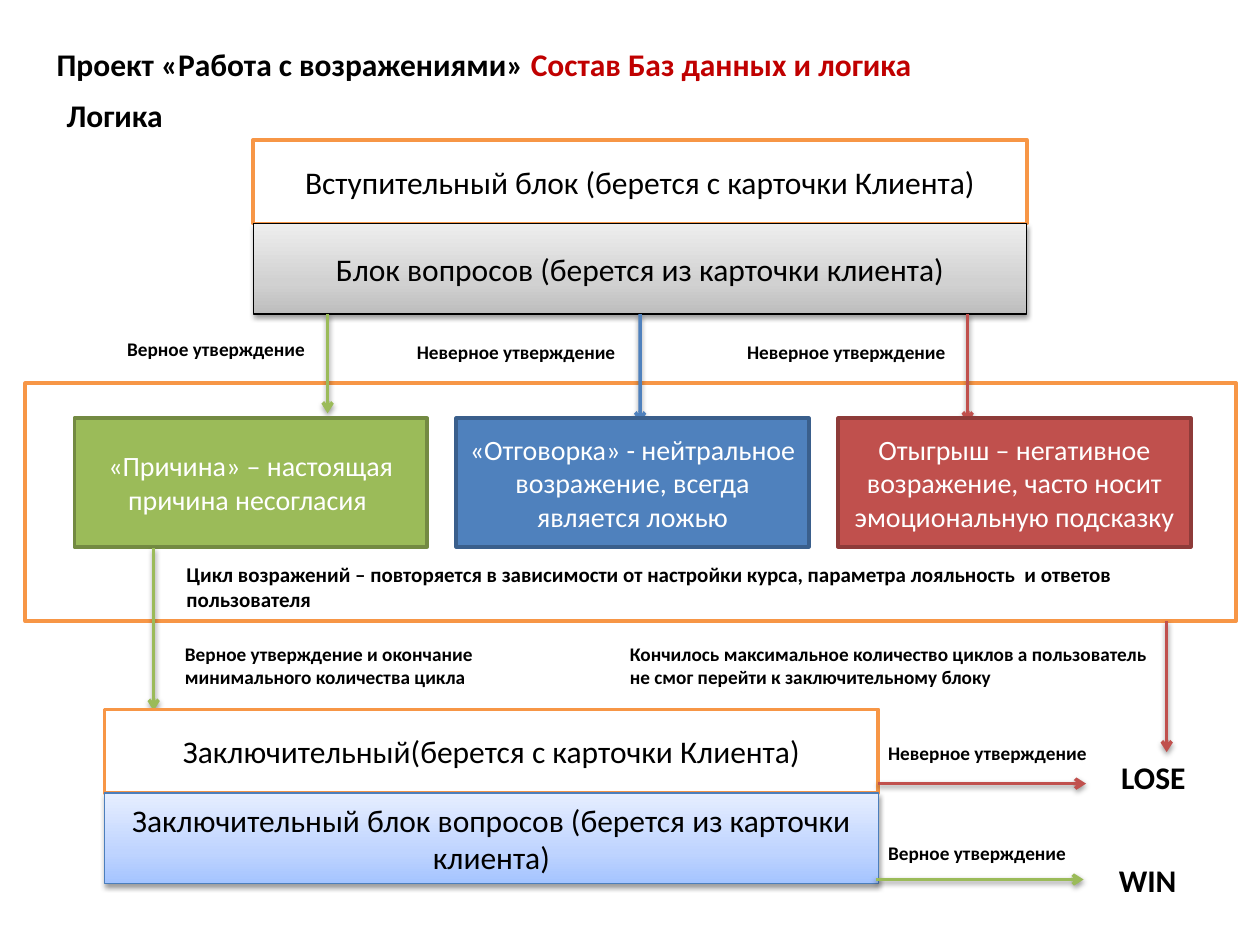
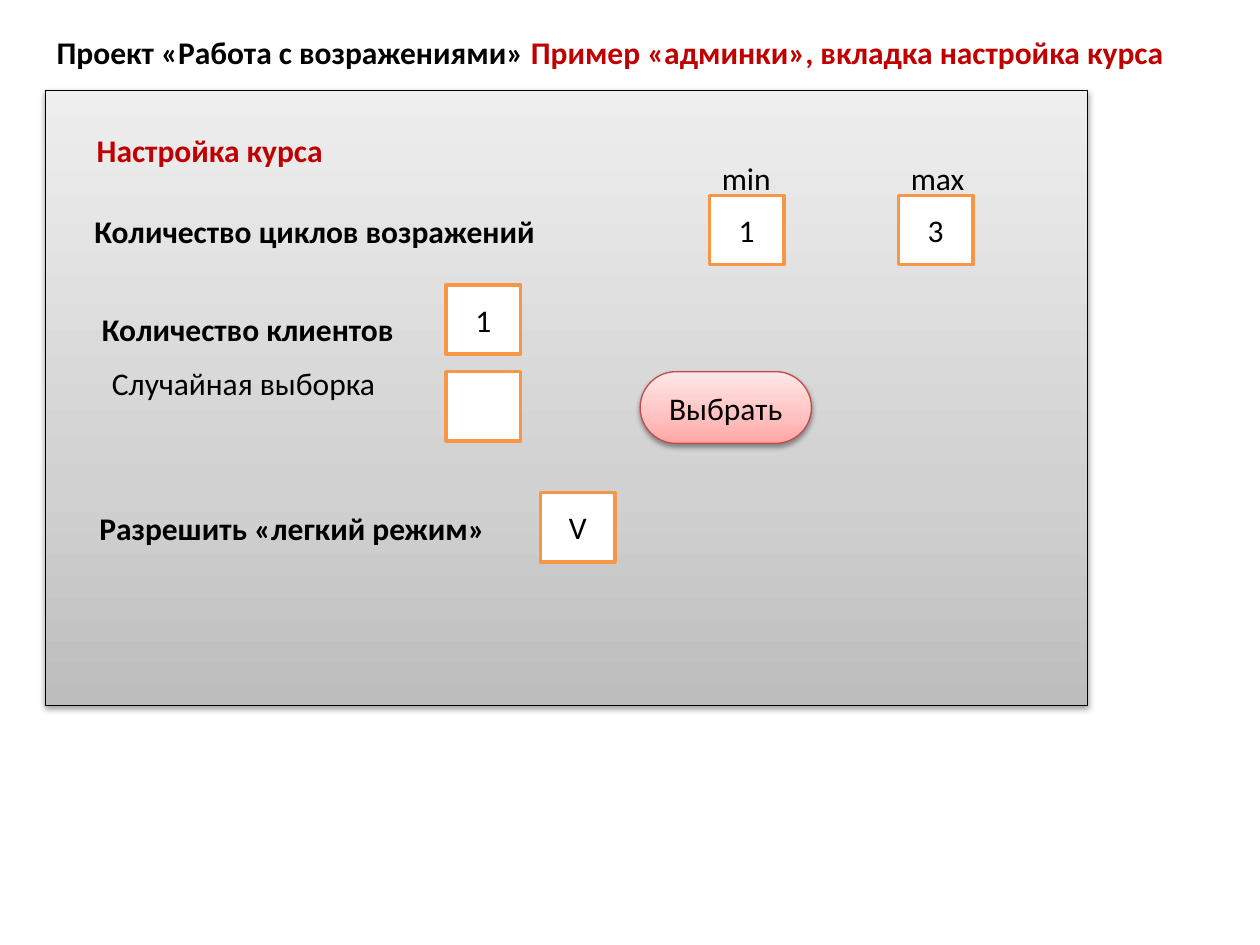
from dataclasses import dataclass

from pptx import Presentation
from pptx.dml.color import RGBColor
from pptx.enum.shapes import MSO_CONNECTOR as CONN, MSO_SHAPE as SHAPE
from pptx.enum.text import MSO_ANCHOR as ANCHOR, MSO_AUTO_SIZE as AUTO, PP_ALIGN as ALIGN
from pptx.oxml import parse_xml
from pptx.oxml.ns import nsdecls, qn
from pptx.util import Pt


@dataclass(frozen=True)
class Theme:
    """Font, type sizes, line widths and colours of the deck."""
    font: str = "Calibri"
    large: int = 18
    medium: int = 16
    note: int = 12
    small: int = 11
    thick: float = 2
    thin: float = 0.75
    black: str = "000000"
    white: str = "FFFFFF"
    accent: str = "C00000"
    orange: str = "F79646"
    green: str = "9BBB59"
    dark_green: str = "738A42"
    blue: str = "4F81BD"
    dark_blue: str = "3A5F8C"
    red: str = "C0504D"
    dark_red: str = "8E3B39"
    blue_edge: str = "4B7EBC"
    red_edge: str = "BF4C48"
    gray_blend: tuple = ("BDBDBD", "D1D1D1", "EEEEEE")
    blue_blend: tuple = ("A4C4FF", "BFD4FF", "E6EEFF")
    red_blend: tuple = ("FFA6A5", "FFC0BF", "FFE7E7")


T = Theme()
PROJECT = "Проект «Работа с возражениями» "
RIGHT, WRONG = "Верное утверждение", "Неверное утверждение"
LINE_H = 28.8
BLOCK_W, BLOCK_STEP = 442.1, 47.8
BOX_W, BOX_H = 42.5, 39.6


def style_run(r, size, color, bold=False):
    """Set the font of one run."""
    r.font.name = T.font
    r.font.size = Pt(size)
    r.font.bold = bold
    r.font.color.rgb = RGBColor.from_string(color)


def cast_shadow(s):
    """Put a soft shadow below a shape or a connector."""
    effects = s._element.spPr.find(qn("a:effectLst"))
    if effects is None:
        effects = parse_xml(f"<a:effectLst {nsdecls('a')}/>")
        s._element.spPr.append(effects)
    effects.append(parse_xml(
        f'<a:outerShdw {nsdecls("a")} blurRad="{Pt(3.1)}" dist="{Pt(1.6)}" dir="5400000" '
        f'rotWithShape="0"><a:srgbClr val="{T.black}"><a:alpha val="38000"/>'
        '</a:srgbClr></a:outerShdw>'))


def blend_fill(s, colors):
    """Fill a shape with three colours running upwards."""
    s.fill.gradient()
    s.fill.gradient_angle = 90
    stops = s._element.spPr.find(qn("a:gradFill")).find(qn("a:gsLst"))
    stops.clear()
    for pos, color in zip((0, 35000, 100000), colors):
        stops.append(parse_xml(f'<a:gs {nsdecls("a")} pos="{pos}">'
                               f'<a:srgbClr val="{color}"/></a:gs>'))


def add_title(slide, topic, top, width):
    """Write the project name and the red topic in the title placeholder."""
    s = slide.shapes.title
    s.left, s.top, s.width, s.height = Pt(25.2), Pt(top), Pt(width), Pt(LINE_H)
    tf = s.text_frame
    tf.word_wrap = True
    tf.auto_size = AUTO.NONE
    tf.vertical_anchor = ANCHOR.TOP
    p = tf.paragraphs[0]
    p.alignment = ALIGN.LEFT
    for text, color in ((PROJECT, T.black), (topic, T.accent)):
        r = p.add_run()
        r.text = text
        style_run(r, T.large, color, True)


def add_label(slide, text, x, y, w, h=LINE_H, size=T.large, color=T.black, bold=True):
    """Add a left-aligned text box."""
    tf = slide.shapes.add_textbox(Pt(x), Pt(y), Pt(w), Pt(h)).text_frame
    tf.word_wrap = True
    tf.auto_size = AUTO.SHAPE_TO_FIT_TEXT
    tf.text = text
    style_run(tf.paragraphs[0].runs[0], size, color, bold)


def add_verdict(slide, text, x, y):
    """Add a small bold caption beside an arrow."""
    add_label(slide, text, x, y, 133.2, 20.9, T.small)


def add_block(slide, text, x, y, w, h, fill=T.white, edge=T.orange, size=T.large,
              color=T.black, kind=SHAPE.RECTANGLE):
    """Add an outlined block; three colours give a shaded block with a shadow."""
    s = slide.shapes.add_shape(kind, Pt(x), Pt(y), Pt(w), Pt(h))
    shaded = isinstance(fill, tuple)
    s.line.color.rgb = RGBColor.from_string(edge)
    s.line.width = Pt(T.thin if shaded else T.thick)
    s.shadow.inherit = False
    if shaded:
        blend_fill(s, fill)
        cast_shadow(s)
    else:
        s.fill.solid()
        s.fill.fore_color.rgb = RGBColor.from_string(fill)
    if text:
        tf = s.text_frame
        tf.word_wrap = True
        tf.vertical_anchor = ANCHOR.MIDDLE
        tf.text = text
        tf.paragraphs[0].alignment = ALIGN.CENTER
        style_run(tf.paragraphs[0].runs[0], size, color)
    return s


def add_block_pair(slide, x, y, intro, questions, fill, edge):
    """Stack an intro block on a shaded question block and return the latter."""
    add_block(slide, intro, x, y, BLOCK_W, BLOCK_STEP)
    return add_block(slide, questions, x, y + BLOCK_STEP, BLOCK_W, 51.8, fill, edge)


def add_box(slide, text, x, y):
    """Add a small input box."""
    add_block(slide, text, x, y, BOX_W, BOX_H)


def add_arrow(slide, x1, y1, x2, y2, color):
    """Add a straight arrow with a shadow."""
    s = slide.shapes.add_connector(CONN.STRAIGHT, Pt(x1), Pt(y1), Pt(x2), Pt(y2))
    s.line.color.rgb = RGBColor.from_string(color)
    s.line.width = Pt(T.thick)
    s.line._get_or_add_ln().append(parse_xml(f'<a:tailEnd {nsdecls("a")} type="arrow"/>'))
    cast_shadow(s)
    return s


def build_logic(slide):
    """Draw the flow of the dialogue from the intro to WIN or LOSE."""
    add_title(slide, "Состав Баз данных и логика", 22.3, 566.6)
    add_block(slide, "", 14.4, 218.9, 691.9, 136.1)
    add_label(slide, "Логика", 31, 51.1, 311.8)
    questions = add_block_pair(
        slide, 144.7, 79.9, "Вступительный блок (берется с карточки Клиента)",
        "Блок вопросов (берется из карточки клиента)", T.gray_blend, T.black)

    add_arrow(slide, 187.2, 179.3, 187.2, 236.2, T.green)
    neutral = add_arrow(slide, 365.8, 179.3, 365.8, 241.9, T.blue)
    neutral.begin_connect(questions, 2)
    add_arrow(slide, 553, 179.3, 553, 241.9, T.red)

    objections = (
        ("«Причина» – настоящая причина несогласия ", T.green, T.dark_green),
        ("«Отговорка» - нейтральное возражение, всегда является ложью", T.blue, T.dark_blue),
        ("Отыгрыш – негативное возражение, часто носит эмоциональную подсказку",
         T.red, T.dark_red))
    for i, (text, fill, edge) in enumerate(objections):
        add_block(slide, text, 42.5 + 218.2 * i, 239, 201.6, 73.6, fill, edge,
                  T.medium, T.white)
    add_label(slide, "Цикл возражений – повторяется в зависимости от настройки курса, "
              "параметра лояльность  и ответов пользователя", 99.4, 317.5, 601.2, 36, T.note)

    add_arrow(slide, 87.8, 313.2, 87.8, 406.1, T.green)
    add_block_pair(
        slide, 59.8, 405.4, "Заключительный(берется с карточки Клиента)",
        "Заключительный блок вопросов (берется из карточки клиента)",
        T.blue_blend, T.blue_edge)
    add_arrow(slide, 500.4, 502.6, 619.2, 502.6, T.green)
    add_arrow(slide, 501.8, 447.8, 620.6, 447.8, T.red)
    add_arrow(slide, 666.7, 355, 666.7, 429.8, T.red)

    for text, x, y in ((RIGHT, 65.5, 189.4), (WRONG, 231.1, 190.8), (WRONG, 419.8, 190.8),
                       (RIGHT, 500.4, 477.4), (WRONG, 500.4, 419.8)):
        add_verdict(slide, text, x, y)
    add_label(slide, "WIN", 632.2, 488.2, 66.2)
    add_label(slide, "LOSE", 633.6, 429.8, 66.2)
    add_label(slide, "Кончилось максимальное количество циклов а пользователь не смог "
              "перейти к заключительному блоку", 352.8, 363.6, 317.5, 33.8, T.small)
    add_label(slide, "Верное утверждение и окончание минимального количества цикла",
              98.6, 363.6, 222.5, 33.8, T.small)


def build_settings(slide):
    """Draw the course settings form."""
    add_title(slide, "Пример «админки», вкладка настройка курса", 15.1, 657.4)
    add_block(slide, "", 25.9, 51.8, 595.4, 351.4, T.gray_blend, T.black)
    add_label(slide, "Настройка курса", 48.2, 71.3, 272.2, color=T.accent)
    for text, x, y in (("Количество циклов возражений", 46.8, 117.4),
                       ("Количество клиентов", 51.1, 173.5),
                       ("Разрешить «легкий режим»", 49.7, 287.3)):
        add_label(slide, text, x, y, 272.2)
    add_label(slide, "Случайная выборка", 56.9, 204.5, 272.2, bold=False)
    for text, value, x in (("min", "1", 405.4), ("max", "3", 513.4)):
        add_box(slide, value, x, 111.6)
        add_label(slide, text, x, 87.1, 46.1, bold=False)
    for value, x, y in (("1", 254.9, 162.7), ("", 254.9, 212.4), ("V", 308.9, 281.5)):
        add_box(slide, value, x, y)
    button = add_block(slide, "Выбрать", 365.8, 212.4, 97.9, 41, T.red_blend, T.red_edge,
                       kind=SHAPE.ROUNDED_RECTANGLE)
    button.adjustments[0] = 0.5


def main():
    """Build both slides and save the deck."""
    prs = Presentation()
    prs.slide_width, prs.slide_height = Pt(720), Pt(540)
    for build in (build_logic, build_settings):
        build(prs.slides.add_slide(prs.slide_layouts[5]))
    prs.save("out.pptx")


if __name__ == "__main__":
    main()
